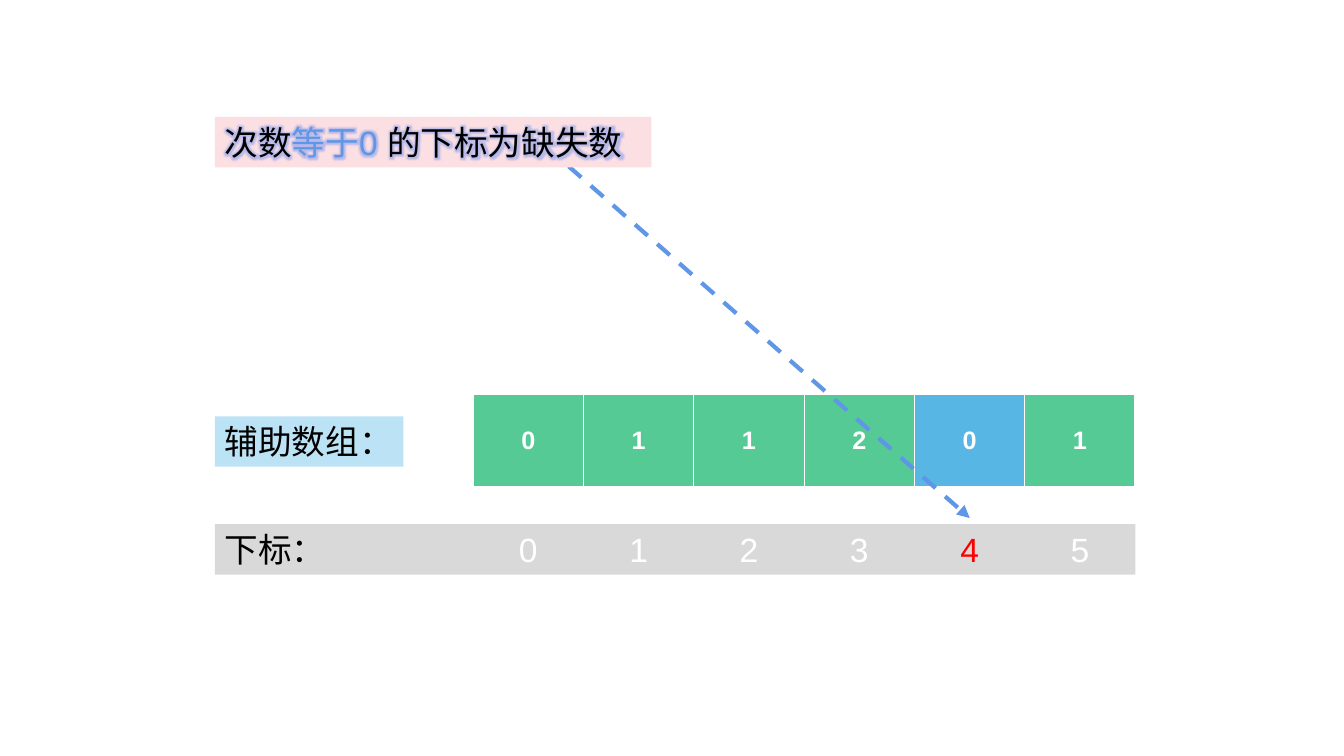
from lxml.etree import SubElement
from pptx import Presentation
from pptx.dml.color import RGBColor
from pptx.enum.dml import MSO_LINE_DASH_STYLE as Dash
from pptx.enum.shapes import MSO_CONNECTOR as Connector
from pptx.enum.text import MSO_ANCHOR as Anchor, PP_ALIGN as Align
from pptx.oxml.ns import qn
from pptx.util import Inches, Pt

BLACK, WHITE, RED = "000000", "FFFFFF", "FF0000"
GREEN, SKY, BLUE = "56CA95", "58B6E5", "6096E6"
PINK, PALE_BLUE, GREY, GLOW = "FBDFE3", "BCE2F5", "D9D9D9", "5080F0"

LEFT, RIGHT, LABEL_HEIGHT = 15.98, 84.48, 6.67
ARRAY_LEFT, CELL_WIDTH = 35.21, 8.21
COUNTS = [0, 1, 1, 2, 0, 1]
MISSING = 4
CENTERS = [ARRAY_LEFT + CELL_WIDTH * (index + 0.5) for index in range(len(COUNTS))]


def color(value):
    return RGBColor.from_string(value)


def add_xml(parent, tag, **attributes):
    return SubElement(parent, qn(tag), {name: str(value) for name, value in attributes.items()})


class Board:
    font = "Arial"
    inset = Inches(0.1)

    def __init__(self, presentation):
        self.width = presentation.slide_width
        self.height = presentation.slide_height
        self.slide = presentation.slides.add_slide(presentation.slide_layouts[6])

    def x(self, share):
        return round(self.width * share / 100)

    def y(self, share):
        return round(self.height * share / 100)

    def run(self, paragraph, text, fill, size=24, bold=False, glow=None):
        run = paragraph.add_run()
        run.text = text
        run.font.size = Pt(size)
        run.font.bold = bold
        run.font.color.rgb = color(fill)
        if glow:
            effects = add_xml(run.font._element, "a:effectLst")
            halo = add_xml(effects, "a:glow", rad=Pt(8))
            tint = add_xml(halo, "a:srgbClr", val=glow)
            add_xml(tint, "a:alpha", val=40000)
        run.font.name = self.font

    def label(self, left, top, width, fill, runs, glow=None, tabs=()):
        shape = self.slide.shapes.add_textbox(
            self.x(left), self.y(top), self.x(width), self.y(LABEL_HEIGHT))
        shape.fill.solid()
        shape.fill.fore_color.rgb = color(fill)
        frame = shape.text_frame
        frame.word_wrap = True
        frame.margin_left, frame.margin_right = self.inset, 0
        paragraph = frame.paragraphs[0]
        if tabs:
            stops = add_xml(paragraph._p.get_or_add_pPr(), "a:tabLst")
            for tab in tabs:
                add_xml(stops, "a:tab", pos=self.x(tab - left) - self.inset, algn="ctr")
        for text, text_color in runs:
            self.run(paragraph, text, text_color, glow=glow)

    def array(self, left, top, cell_width, height, values, fills):
        table = self.slide.shapes.add_table(
            1, len(values), self.x(left), self.y(top),
            self.x(cell_width * len(values)), self.y(height)).table
        for column, value, fill in zip(table.columns, values, fills):
            column.width = self.x(cell_width)
        for cell, value, fill in zip(table.rows[0].cells, values, fills):
            cell.vertical_anchor = Anchor.MIDDLE
            properties = cell._tc.get_or_add_tcPr()
            for side, points in (("L", 1), ("R", 1), ("T", 1), ("B", 3)):
                border = add_xml(properties, f"a:ln{side}", w=Pt(points))
                add_xml(add_xml(border, "a:solidFill"), "a:srgbClr", val=WHITE)
            cell.fill.solid()
            cell.fill.fore_color.rgb = color(fill)
            paragraph = cell.text_frame.paragraphs[0]
            paragraph.alignment = Align.CENTER
            self.run(paragraph, str(value), WHITE, size=18, bold=True)

    def arrow(self, start, end, stroke):
        connector = self.slide.shapes.add_connector(
            Connector.STRAIGHT, self.x(start[0]), self.y(start[1]),
            self.x(end[0]), self.y(end[1]))
        connector.line.color.rgb = color(stroke)
        connector.line.width = Pt(3)
        connector.line.dash_style = Dash.DASH
        add_xml(connector.line._get_or_add_ln(), "a:tailEnd", type="triangle")
        add_xml(connector._element.spPr, "a:effectLst")


presentation = Presentation()
presentation.slide_width = Inches(13.33)
presentation.slide_height = Inches(7.5)
board = Board(presentation)

cell_fills = [SKY if index == MISSING else GREEN for index in range(len(COUNTS))]
index_runs = [(f"\t{index}", RED if index == MISSING else WHITE) for index in range(len(COUNTS))]

board.array(ARRAY_LEFT, 52.13, CELL_WIDTH, 12.4, COUNTS, cell_fills)
board.label(LEFT, 55.07, 14.03, PALE_BLUE, [("辅助数组：", BLACK)])
board.label(LEFT, 69.33, RIGHT - LEFT, GREY, [("下标：", BLACK)] + index_runs, tabs=CENTERS)
board.arrow((42.31, 22), (CENTERS[MISSING], 68.53), BLUE)
board.label(LEFT, 15.47, 32.48, PINK,
            [("次数", BLACK), ("等于0 ", BLUE), ("的下标为缺失数", BLACK)], glow=GLOW)

presentation.save("out.pptx")
